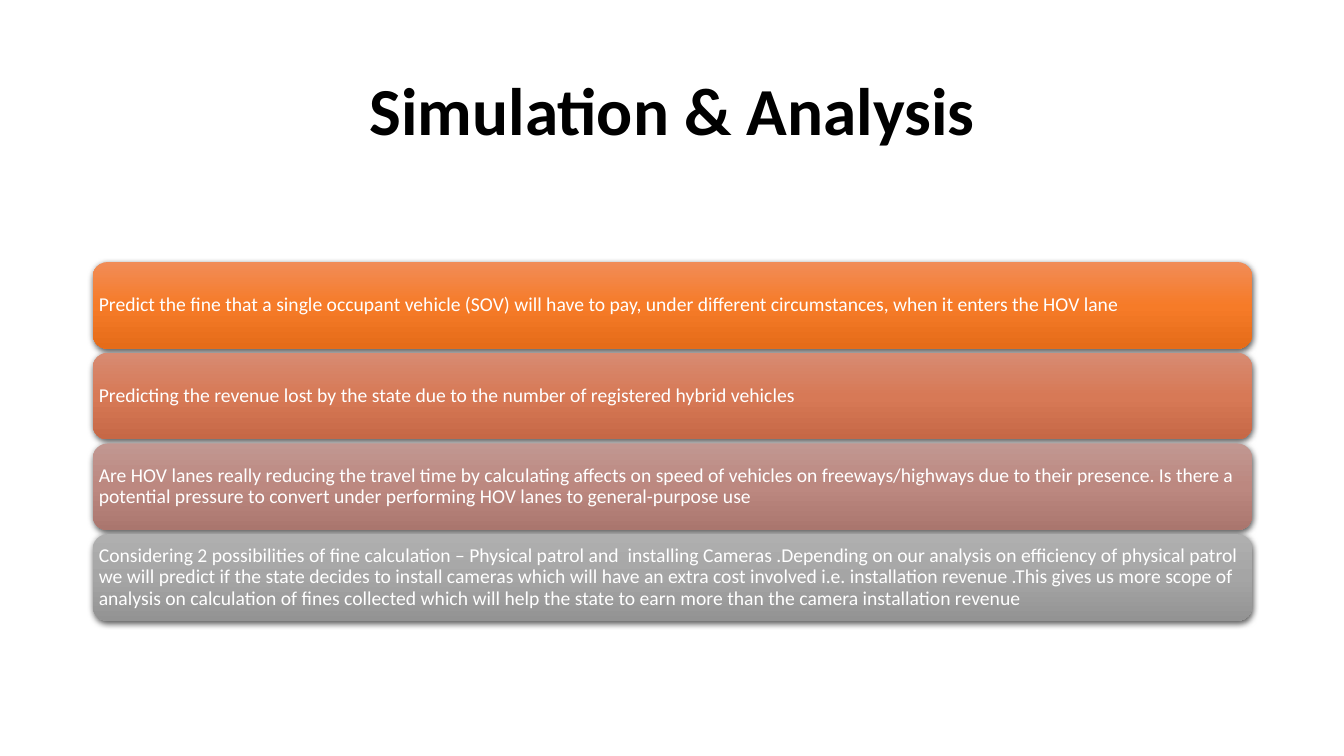
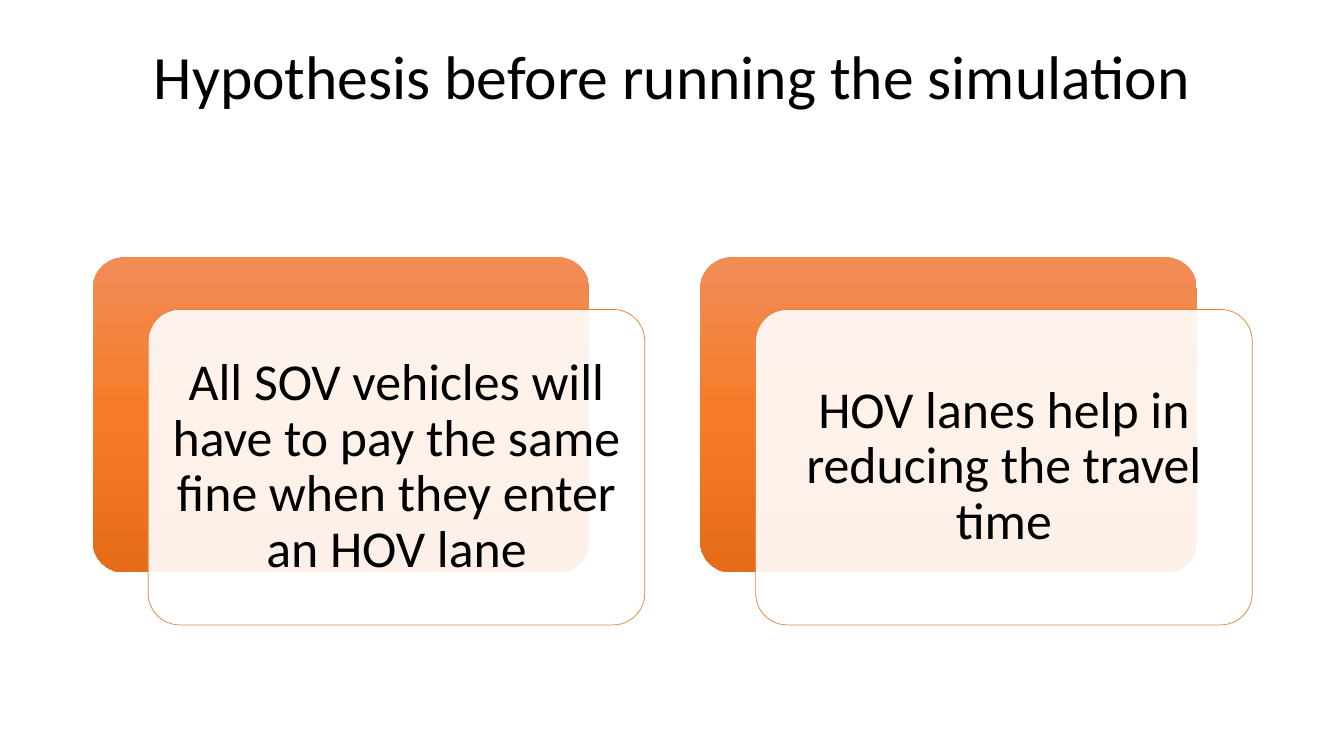
import lxml.etree
import pptx
import pptx.dml.color
import pptx.enum.shapes
import pptx.enum.text
import pptx.oxml
import pptx.oxml.ns
import pptx.util

WIDE, HIGH = 13.33, 7.5
LEFT, SPAN = 0.92, 11.5
FONT = "Calibri"
BLACK, WHITE, EDGE = "000000", "FFFFFF", "ED7D31"
ORANGE = ("F18C57", "F67B28", "E56C19")
CORAL = ("D78B72", "D77956", "C66846")
ROSE = ("C19791", "BC8880", "AA766E")
GREY = ("AFAFAF", "A5A5A5", "939393")
ALIGN = pptx.enum.text.PP_ALIGN
MIDDLE = pptx.enum.text.MSO_ANCHOR.MIDDLE

GOALS = [
    (ORANGE, "Predict the fine that a single occupant vehicle (SOV) will have to pay, "
             "under different circumstances, when it enters the HOV lane"),
    (CORAL, "Predicting the revenue lost by the state due to the number of "
            "registered hybrid vehicles"),
    (ROSE, "Are HOV lanes really reducing the travel time by calculating affects on "
           "speed of vehicles on freeways/highways due to their presence. Is there a "
           "potential pressure to convert under performing HOV lanes to general-purpose use"),
    (GREY, "Considering 2 possibilities of fine calculation – Physical patrol and  "
           "installing Cameras .Depending on our analysis on efficiency of physical "
           "patrol we will predict if the state decides to install cameras which will "
           "have an extra cost involved i.e. installation revenue .This gives us more "
           "scope of analysis on calculation of fines collected which will help the "
           "state to earn more than the camera installation revenue"),
]
CLAIMS = [
    "All SOV vehicles will have to pay the same fine when they enter an HOV lane",
    "HOV lanes help in reducing the travel time",
]


def color(code):
    """Turn a hex string into a colour."""
    return pptx.dml.color.RGBColor.from_string(code)


def node(parent, tag, **attrs):
    """Add a drawing element under a parent."""
    return lxml.etree.SubElement(parent, pptx.oxml.ns.qn(tag), attrs)


def place(shape, box):
    """Move a shape to a box in inches."""
    shape.left, shape.top, shape.width, shape.height = map(pptx.util.Inches, box)


def write(shape, text, size, code, align, bold=False):
    """Write one middle-anchored paragraph."""
    frame = shape.text_frame
    frame.text = text
    frame.word_wrap = True
    frame.auto_size = pptx.enum.text.MSO_AUTO_SIZE.NONE
    frame.vertical_anchor = MIDDLE
    para = frame.paragraphs[0]
    para.alignment = align
    para.line_spacing = 0.9
    para.font.name, para.font.size = FONT, pptx.util.Pt(size)
    para.font.bold, para.font.color.rgb = bold, color(code)


def inset(shape, pad, round_by):
    """Set equal margins, less the inset that round corners add."""
    frame = shape.text_frame
    side = pptx.util.Inches(pad) - int(0.29 * round_by * min(shape.width, shape.height))
    frame.margin_left = frame.margin_right = side
    frame.margin_top = frame.margin_bottom = side


def panel(slide, box, round_by):
    """Add a plain rounded panel without line or shadow."""
    kind = pptx.enum.shapes.MSO_SHAPE.ROUNDED_RECTANGLE
    shape = slide.shapes.add_shape(kind, *map(pptx.util.Inches, box))
    shape.adjustments[0] = round_by
    shape.shadow.inherit = False
    shape.line.fill.background()
    return shape


def blend(shape, codes):
    """Fill a shape with evenly spaced colours from top to bottom."""
    shape.fill.background()
    props = shape.element.spPr
    grad = pptx.oxml.parse_xml(f"<a:gradFill {pptx.oxml.ns.nsdecls('a')}/>")
    stops = node(grad, "a:gsLst")
    for step, code in enumerate(codes):
        stop = node(stops, "a:gs", pos=str(step * 100000 // (len(codes) - 1)))
        node(stop, "a:srgbClr", val=code)
    node(grad, "a:lin", ang="5400000", scaled="0")
    props.replace(props.find(pptx.oxml.ns.qn("a:noFill")), grad)


def shade(shape):
    """Cast a soft shadow below a shape."""
    effects = shape.element.spPr.find(pptx.oxml.ns.qn("a:effectLst"))
    cast = node(effects, "a:outerShdw", blurRad=str(pptx.util.Pt(4.5)),
                dist=str(pptx.util.Pt(1.5)), dir="5400000", algn="ctr", rotWithShape="0")
    node(node(cast, "a:srgbClr", val=BLACK), "a:alpha", val="63000")


def start(deck, text, size, bold=False):
    """Add a slide with a styled title."""
    slide = deck.slides.add_slide(deck.slide_layouts[5])
    title = slide.shapes.title
    place(title, (LEFT, 0.4, SPAN, 1.45))
    write(title, text, size, BLACK, ALIGN.CENTER, bold)
    return slide


def stack(slide, box, goals, gap=0.04):
    """Stack equal bars down a box."""
    left, top, wide, high = box
    pitch = (high + gap) / len(goals)
    for row, (codes, text) in enumerate(goals):
        bar = panel(slide, (left, top + row * pitch, wide, pitch - gap), 0.17)
        blend(bar, codes)
        shade(bar)
        write(bar, text, 14, WHITE, ALIGN.LEFT)
        inset(bar, 0.06, 0.17)


def cards(slide, box, claims, over=0.55, down=0.52):
    """Set cards side by side, each over a shifted back panel."""
    left, top, wide, high = box
    count = len(claims)
    width = (wide - (2 * count - 1) * over) / count
    for col, text in enumerate(claims):
        x = left + col * (width + 2 * over)
        blend(panel(slide, (x, top, width, high - down), 0.1), ORANGE)
        card = panel(slide, (x + over, top + down, width, high - down), 0.1)
        card.fill.solid()
        card.fill.fore_color.rgb = color(WHITE)
        tint = card.element.spPr.find(".//" + pptx.oxml.ns.qn("a:srgbClr"))
        node(tint, "a:alpha", val="90000")
        card.line.color.rgb = color(EDGE)
        card.line.width = pptx.util.Pt(0.5)
        write(card, text, 37, BLACK, ALIGN.CENTER)
        inset(card, 0.15, 0.1)


def main():
    """Build and save the deck."""
    deck = pptx.Presentation()
    deck.slide_width = pptx.util.Inches(WIDE)
    deck.slide_height = pptx.util.Inches(HIGH)
    slide = start(deck, "Simulation & Analysis", 48, True)
    stack(slide, (LEFT, 2.6, SPAN, 3.56), GOALS)
    slide = start(deck, "Hypothesis before running the simulation", 44)
    slide.shapes.title.text_frame.margin_bottom = pptx.util.Inches(0.72)
    cards(slide, (LEFT, 2.55, SPAN, 3.65), CLAIMS)
    deck.save("out.pptx")


if __name__ == "__main__":
    main()
